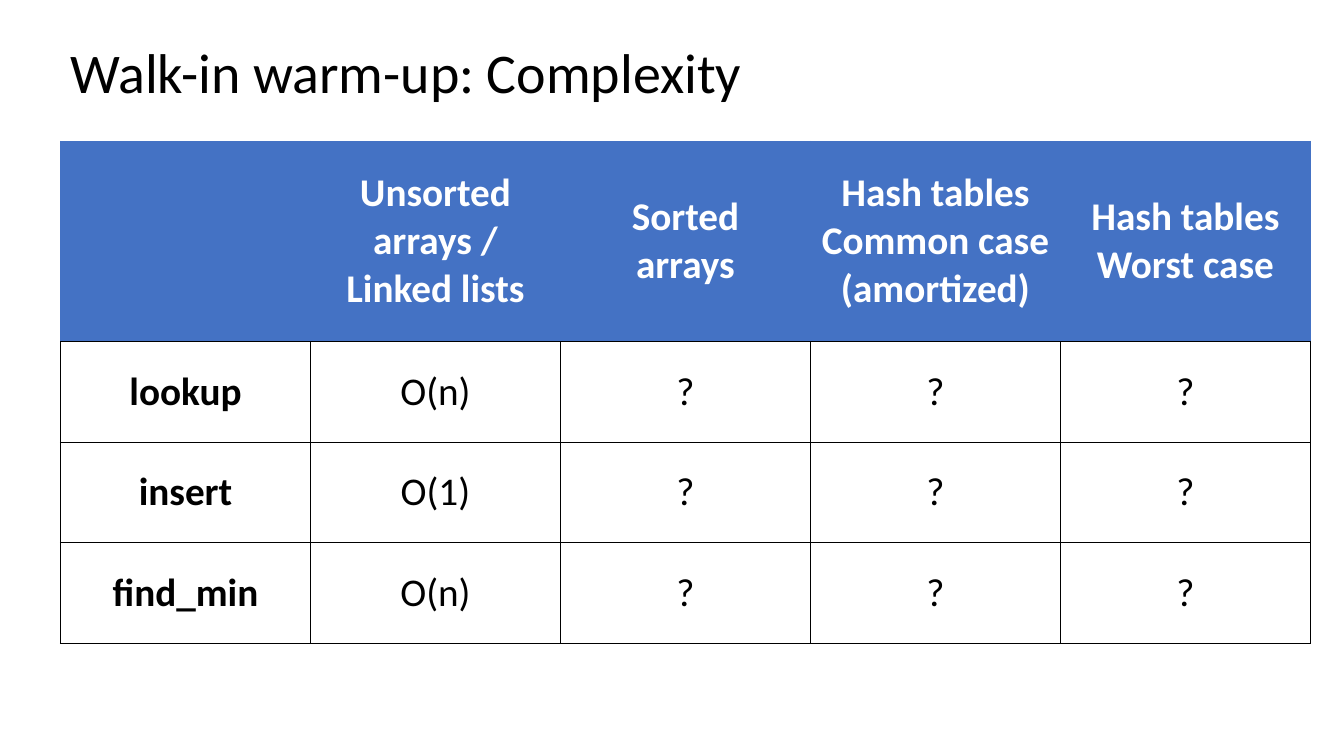
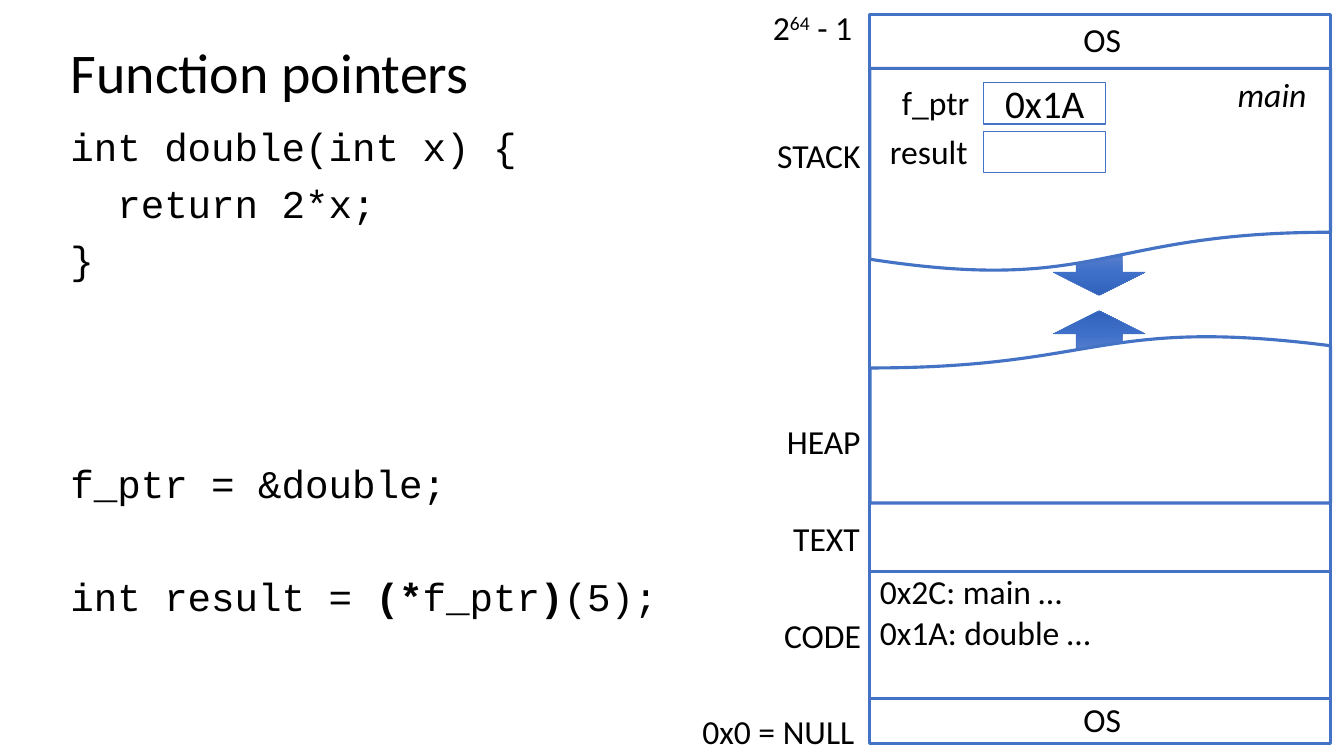
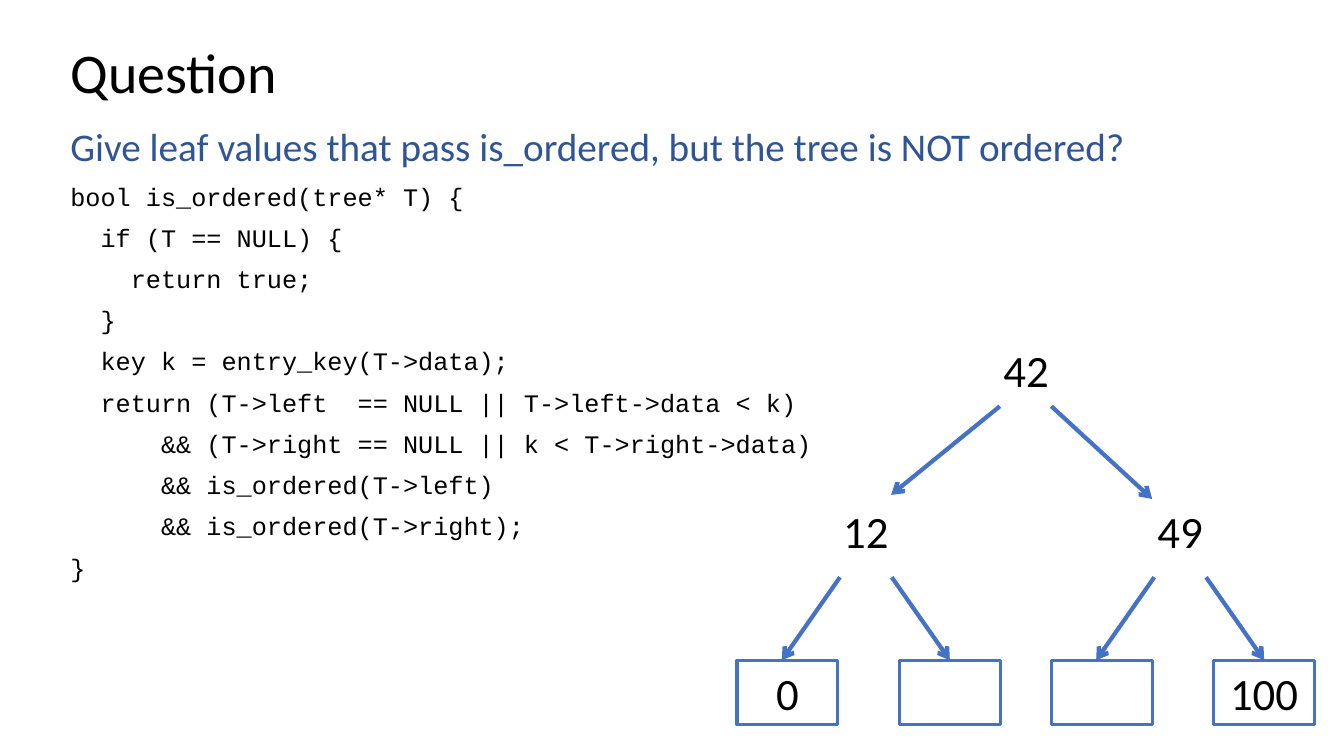
from lxml import etree
from pptx import Presentation
from pptx import util as u
from pptx.dml.color import RGBColor
from pptx.enum import shapes, text
from pptx.oxml.ns import qn

Pt = u.Pt
COLORS = {
    "ink": "000000",
    "paper": "FFFFFF",
    "blue": "4472C4",
    "question": "2F5597",
}
ARROW_STOPS = ((0, "6183CB"), (50, "3E70CA"), (100, "3062BB"))
SANS, MONO = "Calibri", "Courier New"
SHAPE = shapes.MSO_SHAPE
CENTER = text.PP_ALIGN.CENTER
MIDDLE = text.MSO_ANCHOR.MIDDLE


def rgb(name):
    return RGBColor.from_string(COLORS[name])


def set_border(cell, side, color, width):
    """Draw one side (L, R, T or B) of a table cell."""
    props = cell._tc.get_or_add_tcPr()
    line = etree.SubElement(props, qn(f"a:ln{side}"), w=str(Pt(width)))
    fill = etree.SubElement(line, qn("a:solidFill"))
    etree.SubElement(fill, qn("a:srgbClr"), val=COLORS[color])


class Lecture:
    """The deck's style and the slide being filled."""

    def __init__(self):
        self.deck = Presentation()
        self.deck.slide_width, self.deck.slide_height = Pt(960), Pt(540)
        self.slide = None

    def start(self, title):
        self.slide = self.deck.slides.add_slide(self.deck.slide_layouts[5])
        box = self.slide.shapes.title
        box.left, box.top, box.width, box.height = Pt(43.2), Pt(28.8), Pt(828), Pt(49.7)
        frame = box.text_frame
        frame.auto_size = text.MSO_AUTO_SIZE.NONE
        frame.vertical_anchor = MIDDLE
        self.set_lines(frame, [title], 40, align=text.PP_ALIGN.LEFT, leading=0.9)

    def set_lines(self, frame, lines, size, face=SANS, color="ink", align=None,
                  leading=None, before=None, bold=None, italic=None):
        """Fill a frame; a line is a string or a list of (words, mark) spans."""
        for index, line in enumerate(lines):
            para = frame.paragraphs[0] if index == 0 else frame.add_paragraph()
            spans = [(line, None)] if isinstance(line, str) else line
            for words, mark in spans:
                span = para.add_run()
                span.text = words
                if mark == "bold":
                    span.font.bold = True
                elif mark == "super":
                    span.font._element.set("baseline", "30000")
            para.alignment = align
            para.line_spacing = leading
            if before is not None and index:
                para.space_before = Pt(before)
            font = para.font
            font.name, font.size = face, Pt(size)
            font.bold, font.italic = bold, italic
            font.color.rgb = rgb(color)

    def text(self, lines, left, top, width, height, size, wrap=True, **style):
        box = self.slide.shapes.add_textbox(Pt(left), Pt(top), Pt(width), Pt(height))
        box.text_frame.word_wrap = wrap
        self.set_lines(box.text_frame, lines, size, **style)
        return box

    def label(self, words, left, top, width, **style):
        box = self.text([words], left, top, width, 36, 24, wrap=False, **style)
        box.text_frame.auto_size = text.MSO_AUTO_SIZE.SHAPE_TO_FIT_TEXT

    def shape(self, kind, left, top, width, height, line=2.25, fill=None):
        shape = self.slide.shapes.add_shape(kind, Pt(left), Pt(top), Pt(width), Pt(height))
        shape.shadow.inherit = False
        shape.line.color.rgb = rgb("blue")
        shape.line.width = Pt(line)
        if fill:
            shape.fill.solid()
            shape.fill.fore_color.rgb = rgb(fill)
        else:
            shape.fill.background()
        return shape

    def box(self, words, left, top, width, height, size, line=2.25, inset=7.2):
        """A rectangle with centred text, or none."""
        box = self.shape(SHAPE.RECTANGLE, left, top, width, height, line)
        if words:
            frame = box.text_frame
            frame.margin_left = frame.margin_right = Pt(inset)
            frame.vertical_anchor = MIDDLE
            self.set_lines(frame, [words], size, align=CENTER)
        return box

    def block_arrow(self, kind, top, angle):
        """A block arrow whose gradient darkens towards its tip."""
        arrow = self.shape(kind, 752.4, top, 65.5, 33, line=0.5)
        arrow.fill.gradient()
        arrow.fill.gradient_angle = angle
        stops = arrow._element.spPr.find(qn("a:gradFill")).find(qn("a:gsLst"))
        for stop in list(stops):
            stops.remove(stop)
        for position, color in ARROW_STOPS:
            stop = etree.SubElement(stops, qn("a:gs"), pos=str(position * 1000))
            etree.SubElement(stop, qn("a:srgbClr"), val=color)

    def arrow(self, start, end, target=None):
        """An arrow, joined to the top of the target if there is one."""
        arrow = self.slide.shapes.add_connector(
            shapes.MSO_CONNECTOR.STRAIGHT, *(Pt(value) for value in (*start, *end)))
        if target is not None:
            arrow.end_connect(target, 0)
        arrow.line.color.rgb = rgb("blue")
        arrow.line.width = Pt(3)
        props = arrow._element.spPr
        etree.SubElement(props.find(qn("a:ln")), qn("a:tailEnd"), type="arrow")
        etree.SubElement(props, qn("a:effectLst"))

    def table(self, rows, left, top, width, heights):
        """A table with a blue header row; a cell is a list of lines."""
        frame = self.slide.shapes.add_table(
            len(rows), len(rows[0]), Pt(left), Pt(top), Pt(width), Pt(sum(heights)))
        table = frame.table
        table.horz_banding = False
        for column in table.columns:
            column.width = Pt(width / len(rows[0]))
        for r, row in enumerate(rows):
            table.rows[r].height = Pt(heights[r])
            header = r == 0
            for c, lines in enumerate(row):
                cell = table.cell(r, c)
                cell.margin_left = cell.margin_right = Pt(5)
                cell.margin_top = cell.margin_bottom = 0
                cell.vertical_anchor = MIDDLE
                for side in "LRTB":
                    edge = ("blue", 0.5) if header and side != "B" else ("ink", 1)
                    set_border(cell, side, *edge)
                cell.fill.solid()
                cell.fill.fore_color.rgb = rgb("blue" if header else "paper")
                self.set_lines(cell.text_frame, lines, 28, align=CENTER,
                               color="paper" if header else "ink",
                               bold=header or c == 0)


def complexity_slide(lecture):
    lecture.start("Walk-in warm-up: Complexity")
    header = [[], ["Unsorted arrays /", "Linked lists"], ["Sorted", "arrays"],
              ["Hash tables", "Common case", "(amortized)"], ["Hash tables", "Worst case"]]
    costs = (("lookup", "O(n)"), ("insert", "O(1)"), ("find_min", "O(n)"))
    rows = [[[name], [cost]] + [["?"]] * 3 for name, cost in costs]
    lecture.table([header] + rows, 43.2, 100.8, 892.8, [143.4] + [71.75] * 3)


def pointer_slide(lecture):
    lecture.start("Function pointers")
    call = [("int result = ", None), ("(*", "bold"), ("f_ptr", None),
            (")", "bold"), ("(5);", None)]
    code = lecture.text(
        ["int double(int x) {", "  return 2*x;", "}", "f_ptr = &double;", call],
        43.2, 87.8, 828, 160.6, 28, face=MONO, leading=0.9, before=10)
    paras = code.text_frame.paragraphs
    paras[3].space_before, paras[4].space_before = Pt(130), Pt(50)

    left, width = 621.4, 329
    lecture.shape(SHAPE.RECTANGLE, left, 10.5, width, 520.5)
    lecture.block_arrow(SHAPE.DOWN_ARROW, 178, 270)
    lecture.block_arrow(SHAPE.UP_ARROW, 222, 90)
    lecture.shape(SHAPE.FLOWCHART_DOCUMENT, left, 48.8, width, 146, fill="paper")
    heap = lecture.shape(SHAPE.FLOWCHART_DOCUMENT, left, 239, width, 120.3, fill="paper")
    heap.rotation = 180
    lecture.shape(SHAPE.RECTANGLE, left, 408.2, width, 90.7)

    for words, x, y, w in (
            ("OS", 766.8, 10, 51), ("OS", 766.8, 496, 51),
            ("CODE", 553, 435.6, 85), ("TEXT", 559.5, 366.5, 76),
            ("HEAP", 555, 297.4, 83), ("STACK", 548, 92.9, 91),
            ("f_ptr", 637.2, 54.7, 63), ("result", 628.6, 90, 70.5),
            ([("2", None), ("64", "super"), (" - 1", None)], 545, 1.5, 73.5),
            ("0x0 = NULL", 494.6, 504, 124)):
        lecture.label(words, x, y, w)
    lecture.label("main", 877, 49, 64, italic=True)
    lecture.text(["0x2C: main …", "0x1A: double …"], left, 404.6, 168.5, 65.5, 24)
    for words, y in (("0x1A", 59), ("", 93.8)):
        lecture.box(words, 702.7, y, 87, 29.5, 28, line=1, inset=0)


def question_slide(lecture):
    lecture.start("Question")
    code = lecture.text(
        ["Give leaf values that pass is_ordered, but the tree is NOT ordered?",
         "bool is_ordered(tree* T) {",
         "  if (T == NULL) {",
         "    return true;",
         "  }",
         "  key k = entry_key(T->data);",
         "  return (T->left  == NULL || T->left->data < k)",
         "      && (T->right == NULL || k < T->right->data)",
         "      && is_ordered(T->left)",
         "      && is_ordered(T->right);",
         "}"],
        43.2, 87.8, 828, 373, 18, face=MONO, leading=0.9, before=10)
    prompt = code.text_frame.paragraphs[0].font
    prompt.name, prompt.size = SANS, Pt(28)
    prompt.color.rgb = rgb("question")

    def node(words, center, top):
        lecture.text([words], center - 31.7, top, 63.4, 46, 32, align=CENTER)

    node("42", 733, 241.2)
    lecture.arrow((714.2, 290.2), (636.5, 353.5))
    lecture.arrow((751, 290.2), (823, 356.4))
    for parent, center, left_leaf, right_leaf in (("12", 618.5, "0", ""),
                                                  ("49", 843, "", "100")):
        node(parent, center, 356.4)
        lecture.box(left_leaf, center - 92, 471.6, 72, 46, 32)
        right = lecture.box(right_leaf, center + 24, 471.6, 72, 46, 32)
        lecture.arrow((center - 18.5, 412.3), (center - 60, 471.6))
        lecture.arrow((center + 18.5, 412.3), (center + 60, 471.6), right)


def main():
    lecture = Lecture()
    complexity_slide(lecture)
    pointer_slide(lecture)
    question_slide(lecture)
    lecture.deck.save("out.pptx")


if __name__ == "__main__":
    main()
